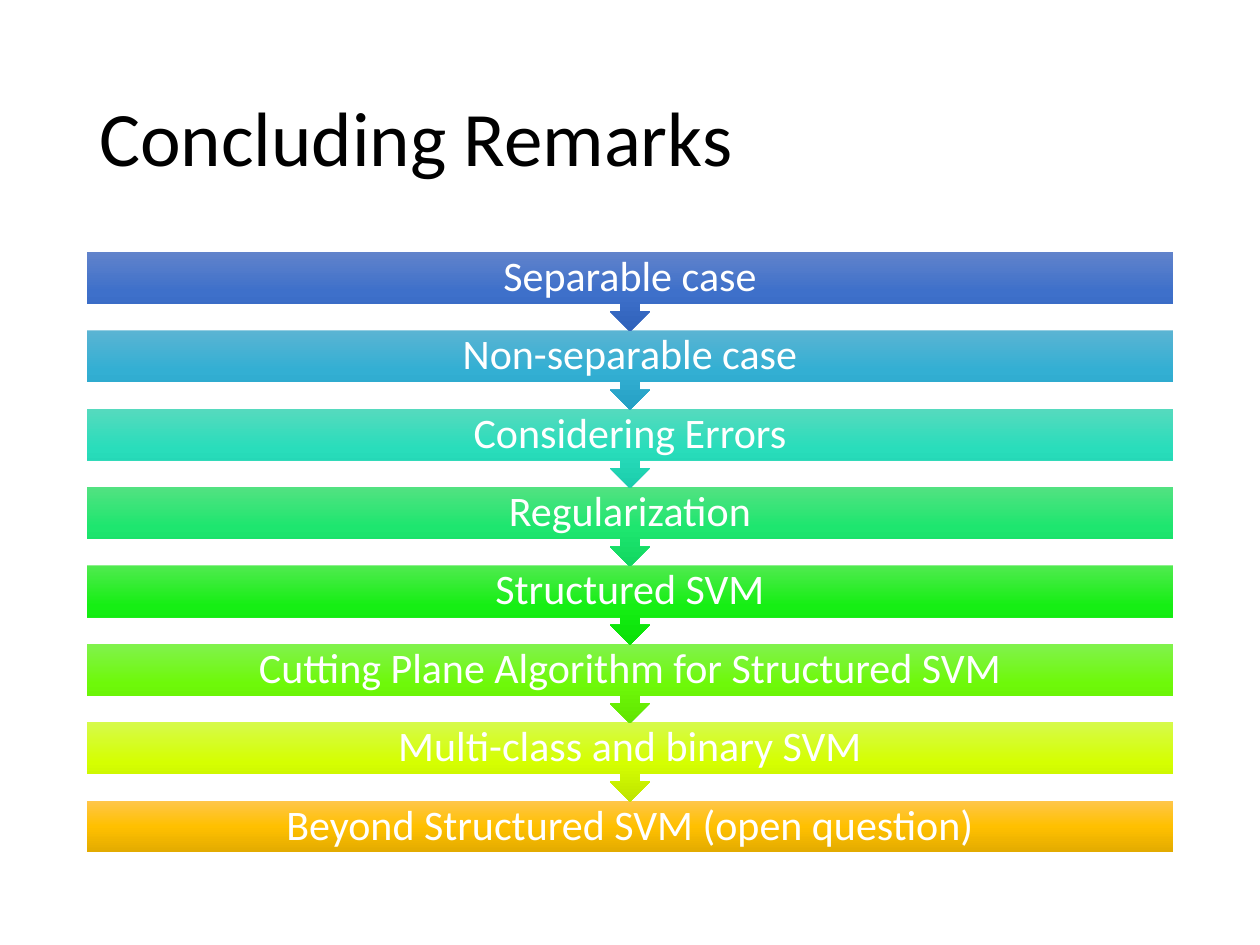
from copy import deepcopy

from pptx import Presentation
from pptx.dml.color import RGBColor
from pptx.enum.shapes import MSO_SHAPE
from pptx.enum.text import MSO_ANCHOR, PP_ALIGN
from pptx.util import Cm, Pt

RECTANGLE = MSO_SHAPE.RECTANGLE
ARROW_CALLOUT = MSO_SHAPE.DOWN_ARROW_CALLOUT
MIDDLE = MSO_ANCHOR.MIDDLE
LEFT, CENTER = PP_ALIGN.LEFT, PP_ALIGN.CENTER

FONT = "Calibri"
COLORS = {
    "title": "000000",
    "label": "FFFFFF",
    "blue": ("6183CB", "3E70CA", "3062BB"),
    "sky": ("5BB4D3", "33AFD3", "25A0C4"),
    "teal": ("56DABE", "29DDBB", "1BCDAC"),
    "mint": ("52E281", "1EE66F", "11D660"),
    "green": ("50EA4F", "16EF14", "09E006"),
    "lime": ("81F24D", "6EF909", "61E500"),
    "yellow": ("D6FA4B", "D5FF01", "BEE400"),
    "amber": ("FFC64B", "FFC000", "E3AB00"),
}
STEPS = [
    ("Separable case", "blue"),
    ("Non-separable case", "sky"),
    ("Considering Errors", "teal"),
    ("Regularization", "mint"),
    ("Structured SVM", "green"),
    ("Cutting Plane Algorithm for Structured SVM", "lime"),
    ("Multi-class and binary SVM", "yellow"),
    ("Beyond Structured SVM (open question)", "amber"),
]
MARGIN, CONTENT_WIDTH = 1.75, 21.9
FIRST_TOP, STEP_PITCH = 5.08, 1.58
CALLOUT_HEIGHT, BAR_HEIGHT = 1.6, 1.04


def write_text(shape, text, size, color, alignment):
    frame = shape.text_frame
    frame.word_wrap = True
    frame.vertical_anchor = MIDDLE
    paragraph = frame.paragraphs[0]
    paragraph.text = text
    paragraph.alignment = alignment
    paragraph.line_spacing = 0.9
    paragraph.font.name = FONT
    paragraph.font.size = Pt(size)
    paragraph.font.color.rgb = RGBColor.from_string(color)


def fill_gradient(shape, colors):
    fill = shape.fill
    fill.gradient()
    fill.gradient_angle = 270
    first_stop = shape.element.xpath(".//a:gs")[0]
    first_stop.addnext(deepcopy(first_stop))
    for stop, position, color in zip(fill.gradient_stops, (0, 0.5, 1), colors):
        stop.position = position
        stop.color.rgb = RGBColor.from_string(color)


def add_title(slide, text):
    title = slide.shapes.add_textbox(Cm(MARGIN), Cm(1.01), Cm(CONTENT_WIDTH), Cm(3.68))
    write_text(title, text, 44, COLORS["title"], LEFT)


def add_step(slide, index, text, color):
    is_last = index == len(STEPS) - 1
    step = slide.shapes.add_shape(
        RECTANGLE if is_last else ARROW_CALLOUT,
        Cm(MARGIN),
        Cm(FIRST_TOP + index * STEP_PITCH),
        Cm(CONTENT_WIDTH),
        Cm(BAR_HEIGHT if is_last else CALLOUT_HEIGHT),
    )
    step.shadow.inherit = False
    step.line.fill.background()
    fill_gradient(step, COLORS[color])
    step.text_frame.margin_top = step.text_frame.margin_bottom = 0
    write_text(step, text, 24, COLORS["label"], CENTER)


def main():
    presentation = Presentation()
    presentation.slide_width = Cm(25.4)
    presentation.slide_height = Cm(19.05)
    slide = presentation.slides.add_slide(presentation.slide_layouts[6])
    add_title(slide, "Concluding Remarks")
    for index, (text, color) in reversed(list(enumerate(STEPS))):
        add_step(slide, index, text, color)
    presentation.save("out.pptx")


if __name__ == "__main__":
    main()
